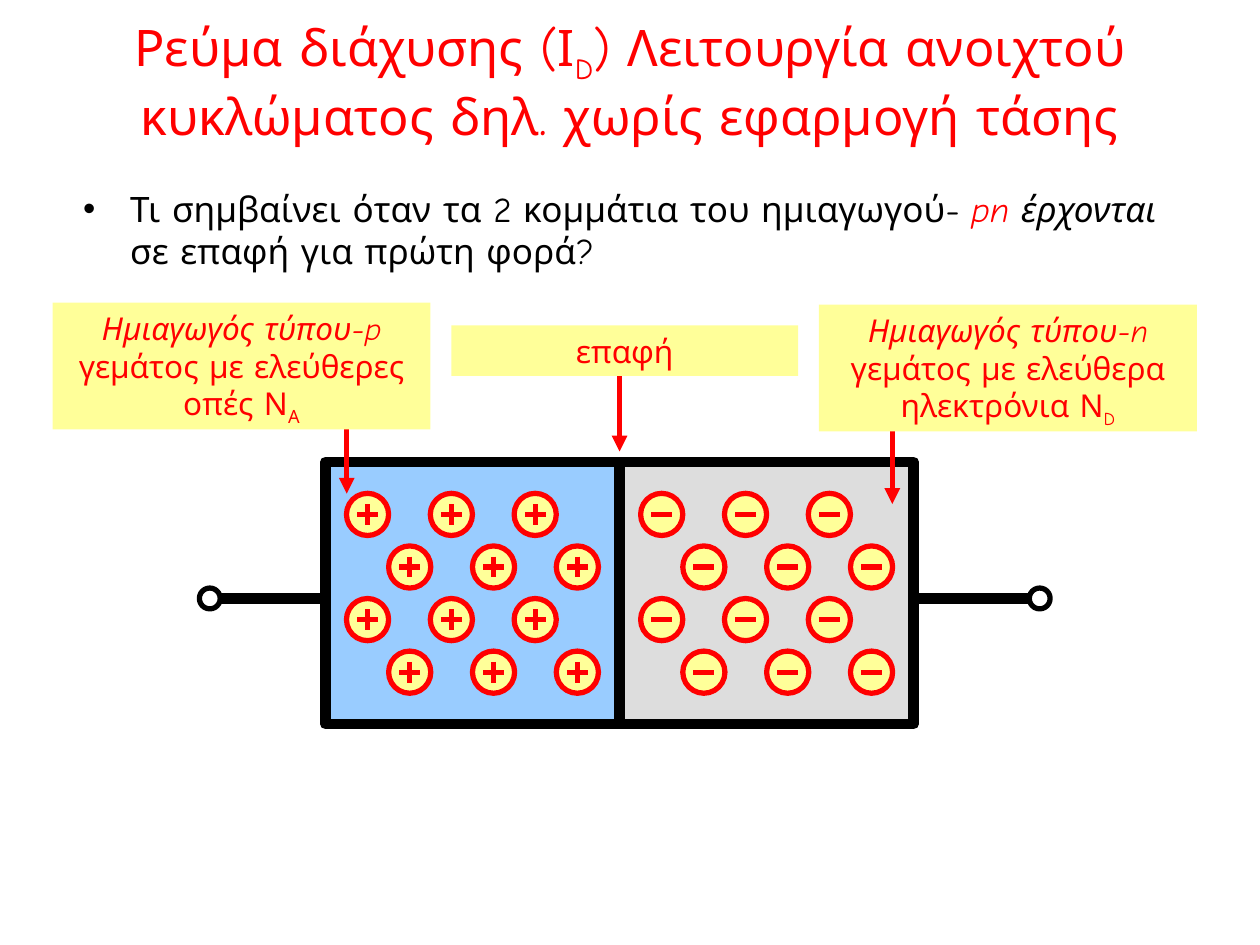
"""Builds the slide on diffusion current in an open-circuit pn junction."""
from dataclasses import dataclass

from lxml import etree
from pptx import Presentation
from pptx.dml.color import RGBColor
from pptx.enum.shapes import MSO_CONNECTOR, MSO_SHAPE
from pptx.enum.text import MSO_ANCHOR, MSO_AUTO_SIZE, PP_ALIGN
from pptx.oxml.ns import qn
from pptx.util import Cm, Pt

RECTANGLE, OVAL = MSO_SHAPE.RECTANGLE, MSO_SHAPE.OVAL
STRAIGHT = MSO_CONNECTOR.STRAIGHT
TOP, MIDDLE = MSO_ANCHOR.TOP, MSO_ANCHOR.MIDDLE
LEFT, CENTER = PP_ALIGN.LEFT, PP_ALIGN.CENTER


@dataclass(frozen=True)
class Theme:
    font: str = "Comic Neue"
    title: float = 28.8
    body: float = 20
    label: float = 18
    thin: float = 3
    thick: float = 6
    red: str = "FF0000"
    black: str = "000000"
    white: str = "FFFFFF"
    yellow: str = "FFFF99"
    blue: str = "99CCFF"
    gray: str = "DDDDDD"


THEME = Theme()

TITLE = [("Ρεύμα διάχυσης (Ι", ""), ("D", "sub"),
         (") Λειτουργία ανοιχτού κυκλώματος δηλ. χωρίς εφαρμογή τάσης", "")]
QUESTION = [("Τι σημβαίνει όταν τα 2 κομμάτια του ημιαγωγού- ", ""),
            ("pn ", "italic red"), ("έρχονται", "italic"),
            (" σε επαφή για πρώτη φορά?", "")]
LABELS = [
    ((16.51, 6.14, 7.62, 2.56),
     [("Ημιαγωγός τύπου-n ", "italic"),
      ("γεμάτος με ελεύθερα ηλεκτρόνια Ν", ""), ("D", "sub")]),
    ((1.06, 6.1, 7.62, 2.56),
     [("Ημιαγωγός τύπου-p ", "italic"),
      ("γεμάτος με ελεύθερες οπές Ν", ""), ("Α", "sub")]),
    ((9.1, 6.56, 6.99, 1.02), [("επαφή", "")]),
]
ARROWS = [(6.99, 6.99, 9.95), (17.99, 7.2, 10.16), (12.49, 6.99, 9.1)]
REGIONS = [(THEME.blue, "+"), (THEME.gray, "-")]

BLOCK_LEFT, BLOCK_TOP, BLOCK_WIDTH, BLOCK_HEIGHT = 6.56, 9.31, 5.93, 5.29
TERMINALS, TERMINAL_SIZE = (4.23, 20.96), 0.42
WIRE_Y = BLOCK_TOP + BLOCK_HEIGHT / 2 + 0.11
CARRIER_ROWS, CARRIER_COLUMNS = 4, 3
CARRIER_INSET_X, CARRIER_INSET_Y = 0.85, 1.06
CARRIER_PITCH_X, CARRIER_PITCH_Y, CARRIER_STAGGER = 1.69, 1.06, 0.85
CARRIER_SIZE, SIGN_HALF = 0.85, 0.21


def rgb(color):
    return RGBColor.from_string(color)


def write(frame, runs, size, color, align, anchor):
    frame.word_wrap = True
    frame.auto_size = MSO_AUTO_SIZE.NONE
    frame.vertical_anchor = anchor
    paragraph = frame.paragraphs[0]
    paragraph.alignment = align
    paragraph.space_before = Pt(0)
    paragraph.font.name = THEME.font
    paragraph.font.size = Pt(size)
    paragraph.font.color.rgb = rgb(color)
    for text, style in runs:
        run = paragraph.add_run()
        run.text = text
        if "italic" in style:
            run.font.italic = True
        if "red" in style:
            run.font.color.rgb = rgb(THEME.red)
        if "sub" in style:
            run.font._element.set("baseline", "-25000")
    return paragraph


def place(shape, left, top, width, height):
    shape.left, shape.top = Cm(left), Cm(top)
    shape.width, shape.height = Cm(width), Cm(height)


def add_figure(shapes, preset, box, fill, line=None, weight=0):
    figure = shapes.add_shape(preset, *map(Cm, box))
    figure.shadow.inherit = False
    figure.fill.solid()
    figure.fill.fore_color.rgb = rgb(fill)
    if line:
        figure.line.color.rgb = rgb(line)
        figure.line.width = Pt(weight)
    else:
        figure.line.fill.background()
    return figure


def add_line(shapes, ends, color, weight, arrow=False):
    connector = shapes.add_connector(STRAIGHT, *map(Cm, ends))
    connector.line.color.rgb = rgb(color)
    connector.line.width = Pt(weight)
    if arrow:
        etree.SubElement(connector.line._get_or_add_ln(), qn("a:tailEnd"), type="triangle")
    etree.SubElement(connector._element.spPr, qn("a:effectLst"))


def add_carrier(shapes, left, top, sign):
    carrier = shapes.add_group_shape().shapes
    add_figure(carrier, OVAL, (left, top, CARRIER_SIZE, CARRIER_SIZE),
               THEME.yellow, THEME.red, THEME.thin)
    x, y = left + CARRIER_SIZE / 2, top + CARRIER_SIZE / 2
    add_line(carrier, (x - SIGN_HALF, y, x + SIGN_HALF, y), THEME.red, THEME.thin)
    if sign == "+":
        add_line(carrier, (x, y - SIGN_HALF, x, y + SIGN_HALF), THEME.red, THEME.thin)


def add_junction(shapes):
    add_line(shapes, (TERMINALS[0], WIRE_Y, TERMINALS[1], WIRE_Y),
             THEME.black, THEME.thick)
    for x in TERMINALS:
        add_figure(shapes, OVAL,
                   (x - TERMINAL_SIZE / 2, WIRE_Y - TERMINAL_SIZE / 2,
                    TERMINAL_SIZE, TERMINAL_SIZE),
                   THEME.white, THEME.black, THEME.thin)
    for index, (fill, sign) in enumerate(REGIONS):
        region_left = BLOCK_LEFT + index * BLOCK_WIDTH
        add_figure(shapes, RECTANGLE,
                   (region_left, BLOCK_TOP, BLOCK_WIDTH, BLOCK_HEIGHT),
                   fill, THEME.black, THEME.thick)
    for index, (fill, sign) in enumerate(REGIONS):
        first_left = BLOCK_LEFT + index * BLOCK_WIDTH + CARRIER_INSET_X / 2
        for row in range(CARRIER_ROWS):
            for column in range(CARRIER_COLUMNS):
                add_carrier(shapes,
                            first_left + column * CARRIER_PITCH_X + row % 2 * CARRIER_STAGGER,
                            BLOCK_TOP + CARRIER_INSET_Y * 0.6 + row * CARRIER_PITCH_Y,
                            sign)


def main():
    deck = Presentation()
    deck.slide_width, deck.slide_height = Cm(25.4), Cm(19.05)
    slide = deck.slides.add_slide(deck.slide_layouts[1])
    title, body = slide.placeholders
    place(title, 1.27, 0.76, 22.86, 1.75)
    write(title.text_frame, TITLE, THEME.title, THEME.red, CENTER, MIDDLE)
    place(body, 1.42, 3.66, 22.86, 12.57)
    question = write(body.text_frame, QUESTION, THEME.body, THEME.black, LEFT, TOP)
    properties = question._p.get_or_add_pPr()
    properties.set("marL", str(Cm(0.95)))
    properties.set("indent", str(-Cm(0.95)))

    add_junction(slide.shapes)
    for x, start, end in ARROWS:
        add_line(slide.shapes, (x, start, x, end), THEME.red, THEME.thin, arrow=True)
    for box, runs in LABELS:
        label = add_figure(slide.shapes, RECTANGLE, box, THEME.yellow)
        write(label.text_frame, runs, THEME.label, THEME.red, CENTER, TOP)
    deck.save("out.pptx")


if __name__ == "__main__":
    main()
